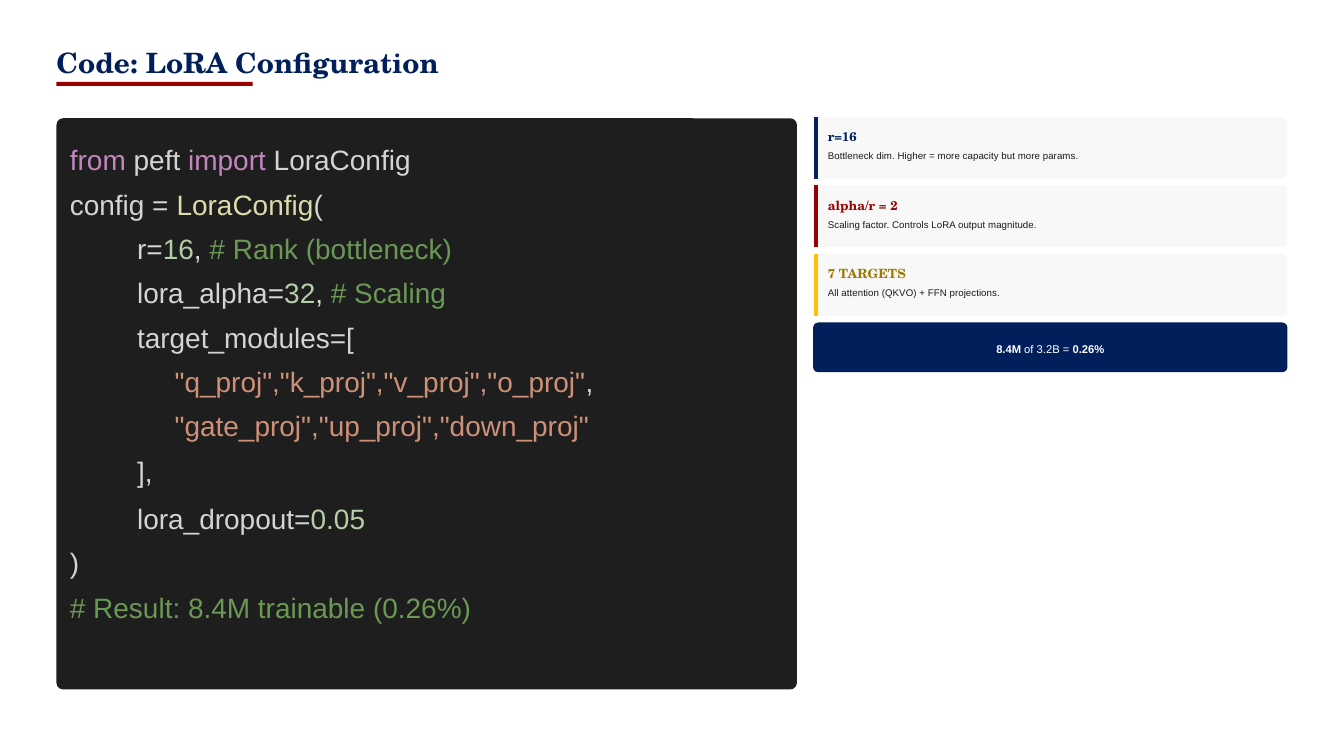
from dataclasses import dataclass

import pptx
import pptx.dml.color
import pptx.enum.shapes
import pptx.enum.text
import pptx.oxml.ns
import pptx.util
from lxml import etree

Inches = pptx.util.Inches
Pt = pptx.util.Pt
Shape = pptx.enum.shapes.MSO_SHAPE
Align = pptx.enum.text.PP_ALIGN

HEX = {
    "navy": "011F5B", "red": "990000", "gold": "FFC107", "ochre": "997A00",
    "dark": "1E1E1E", "pale": "F8F8F8", "ink": "1A1A1A", "white": "FFFFFF",
    "key": "C586C0", "plain": "D4D4D4", "call": "DCDCAA",
    "num": "B5CEA8", "note": "6A9955", "str": "CE9178",
}
SERIF, SANS = "TeX Gyre Schola", "Arial"


@dataclass
class Run:
    text: str
    color: str = "plain"
    bold: bool = False


@dataclass
class Line:
    left: float
    width: float
    runs: list[Run]
    extra: float = 0  # added to the regular step from the line above


@dataclass
class Card:
    head: str
    body: str
    bar: str
    tint: str


CODE = [
    Line(0.52, 5.41, [Run("from", "key"), Run(" peft "), Run("import", "key"), Run(" LoraConfig")]),
    Line(0.52, 5.41, [Run("config = "), Run("LoraConfig", "call"), Run("(")]),
    Line(1.02, 2.49, [Run("r="), Run("16", "num"), Run(", "), Run("# Rank (bottleneck)", "note")]),
    Line(1.02, 2.49, [Run("lora_alpha="), Run("32", "num"), Run(", "), Run("# Scaling", "note")]),
    Line(1.02, 1.7, [Run("target_modules=[")]),
    Line(1.3, 3.24, [Run('"q_proj","k_proj","v_proj","o_proj"', "str"), Run(",")]),
    Line(1.3, 3.24, [Run('"gate_proj","up_proj","down_proj"', "str")]),
    Line(1.02, 0.5, [Run("],")], 0.01),
    Line(1.02, 1.85, [Run("lora_dropout="), Run("0.05", "num")], 0.02),
    Line(0.52, 5.41, [Run(")")]),
    Line(0.52, 5.41, [Run("# Result: 8.4M trainable (0.26%)", "note")]),
]
CARDS = [
    Card("r=16", "Bottleneck dim. Higher = more capacity but more params.", "navy", "navy"),
    Card("alpha/r = 2", "Scaling factor. Controls LoRA output magnitude.", "red", "red"),
    Card("7 TARGETS", "All attention (QKVO) + FFN projections.", "gold", "ochre"),
]


def rgb(name: str) -> pptx.dml.color.RGBColor:
    return pptx.dml.color.RGBColor.from_string(HEX[name])


def block(slide, left: float, top: float, width: float, height: float,
          color: str, radius: float = 0) -> None:
    """Draw a filled box; radius is the corner size in inches."""
    kind = Shape.ROUNDED_RECTANGLE if radius else Shape.RECTANGLE
    box = slide.shapes.add_shape(kind, Inches(left), Inches(top), Inches(width), Inches(height))
    if radius:
        box.adjustments[0] = radius / min(width, height)
    box.shadow.inherit = False
    box.fill.solid()
    box.fill.fore_color.rgb = rgb(color)
    box.line.fill.background()


def write(slide, left: float, top: float, width: float, height: float, runs: list[Run], *,
          size: float, lead: float, font: str = SANS, align=Align.LEFT) -> None:
    """Place one line of text; size and lead (line height) are in points."""
    box = slide.shapes.add_textbox(Inches(left), Inches(top), Inches(width), Inches(height))
    frame = box.text_frame
    frame.word_wrap = True
    frame.margin_left = frame.margin_top = frame.margin_right = frame.margin_bottom = 0
    para = frame.paragraphs[0]
    para.alignment = align
    para.line_spacing = Pt(lead)
    for item in runs:
        run = para.add_run()
        run.text = item.text
        run.font.name = font
        run.font.size = Pt(size)
        run.font.bold = item.bold
        run.font.color.rgb = rgb(item.color)


def stripe(slide, left: float, top: float, height: float, color: str) -> None:
    line = slide.shapes.add_connector(
        pptx.enum.shapes.MSO_CONNECTOR.STRAIGHT,
        Inches(left), Inches(top), Inches(left), Inches(top + height))
    line.line.color.rgb = rgb(color)
    line.line.width = Pt(2.25)
    etree.SubElement(line._element.spPr, pptx.oxml.ns.qn("a:effectLst"))


def listing(slide) -> None:
    block(slide, 0.42, 0.88, 5.51, 4.25, "dark", 0.05)
    step, top = 0.33, 1.02
    for line in CODE:
        top += line.extra
        write(slide, line.left, top, line.width, 0.29, line.runs, size=15, lead=21)
        top += step


def panel(slide) -> None:
    """Draw the three cards and the summary bar below them."""
    left, top, width, step = 6.05, 0.87, 3.53, 0.51
    for card in CARDS:
        block(slide, left, top, width, 0.46, "pale", 0.04)
        stripe(slide, left + 0.02, top, 0.46, card.bar)
        write(slide, left + 0.11, top + 0.09, 3.4, 0.11, [Run(card.head, card.tint, True)],
              size=6.8, lead=8.1, font=SERIF)
        write(slide, left + 0.11, top + 0.24, 3.4, 0.09, [Run(card.body, "ink")],
              size=5.25, lead=6.8)
        top += step
    block(slide, left, top, width, 0.37, "navy", 0.04)
    total = [Run("8.4M", "white", True), Run(" of 3.2B = ", "white"), Run("0.26%", "white", True)]
    write(slide, left + 0.05, top + 0.13, 3.43, 0.12, total, size=6, lead=8.4, align=Align.CENTER)


def main() -> None:
    deck = pptx.Presentation()
    deck.slide_width = Inches(10)
    deck.slide_height = Inches(10 * 9 / 16)
    slide = deck.slides.add_slide(deck.slide_layouts[6])
    write(slide, 0.42, 0.38, 4.69, 0.21, [Run("Code: LoRA Configuration", "navy", True)],
          size=15, lead=15, font=SERIF)
    block(slide, 0.42, 0.61, 1.46, 0.03, "red")
    listing(slide)
    panel(slide)
    deck.save("out.pptx")


if __name__ == "__main__":
    main()
